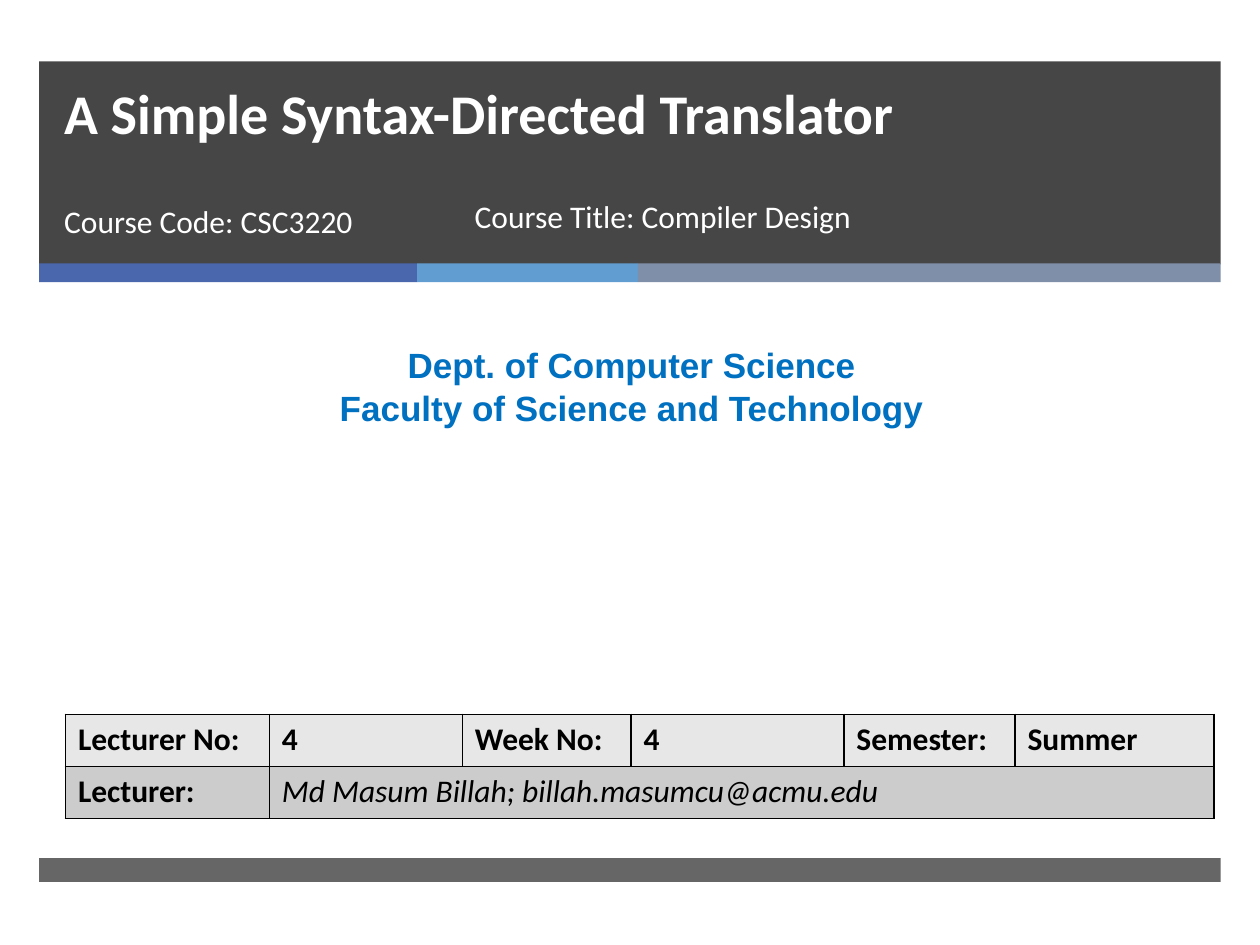
from dataclasses import dataclass

from lxml.etree import SubElement as Sub
from pptx import Presentation
from pptx.dml.color import RGBColor as Rgb
from pptx.enum.shapes import MSO_SHAPE as Form
from pptx.enum.text import MSO_ANCHOR as Anchor, MSO_AUTO_SIZE as Fit, PP_ALIGN as Align
from pptx.oxml.ns import qn
from pptx.util import Cm, Pt


@dataclass(frozen=True)
class Theme:
    dark: str = "262626"
    strip: tuple = ("4A66AC", "629DD1", "7F8FA9")
    rows: tuple = ("E7E7E7", "CCCCCC")
    white: str = "FFFFFF"
    black: str = "000000"
    blue: str = "0070C0"
    main: str = "Calibri"
    alt: str = "Arial"
    head: int = 32
    dept: int = 20
    body: int = 18


class Deck:
    def __init__(self, theme):
        self.theme = theme
        self.file = Presentation()
        self.file.slide_width, self.file.slide_height = Cm(25.4), Cm(19.05)
        self.slide = self.file.slides.add_slide(self.file.slide_layouts[0])

    def bar(self, x, y, w, h, color, alpha=100):
        """Draw a plain bar; alpha is its opacity in percent."""
        bar = self.slide.shapes.add_shape(Form.RECTANGLE, Cm(x), Cm(y), Cm(w), Cm(h))
        bar.shadow.inherit = False
        bar.line.fill.background()
        bar.fill.solid()
        bar.fill.fore_color.rgb = Rgb.from_string(color)
        if alpha < 100:
            tint = bar._element.spPr.find(qn("a:solidFill"))[0]
            Sub(tint, qn("a:alpha"), val=str(alpha * 1000))

    def text(self, frame, lines, size, color, font=None, bold=False,
             italic=False, align=Align.LEFT):
        for i, line in enumerate(lines):
            para = frame.add_paragraph() if i else frame.paragraphs[0]
            para.alignment = align
            run = para.add_run()
            run.text = line
            face = run.font
            face.name, face.size = font or self.theme.main, Pt(size)
            face.bold, face.italic = bold, italic
            face.color.rgb = Rgb.from_string(color)

    def place(self, shape, box, lines, size, color, anchor=Anchor.TOP, **style):
        """Move a text shape to its box and fill it with lines."""
        shape.left, shape.top, shape.width, shape.height = map(Cm, box)
        frame = shape.text_frame
        frame.word_wrap, frame.auto_size = True, Fit.NONE
        frame.vertical_anchor = anchor
        self.text(frame, lines, size, color, **style)
        for para in frame.paragraphs:
            para.space_before = Pt(0)
        return frame

    def title(self, text, box):
        frame = self.place(self.slide.shapes.title, box, [text], self.theme.head,
                           self.theme.white, Anchor.BOTTOM, bold=True)
        frame.paragraphs[0].line_spacing = Pt(46)

    def lead(self, text, box):
        """Fill the subtitle placeholder."""
        self.place(self.slide.placeholders[1], box, [text],
                   self.theme.body, self.theme.white)

    def label(self, lines, box, size, color, **style):
        shape = self.slide.shapes.add_textbox(*map(Cm, box))
        self.place(shape, box, lines, size, color, **style)

    def edge(self, cell):
        """Give a cell thin black borders, which must precede its fill."""
        props = cell._tc.get_or_add_tcPr()
        for i, side in enumerate(("lnL", "lnR", "lnT", "lnB")):
            line = Sub(props, qn(f"a:{side}"), w=str(Pt(1)))
            Sub(Sub(line, qn("a:solidFill")), qn("a:srgbClr"), val=self.theme.black)
            props.insert(i, line)

    def table(self, rows, x, y, cols, high):
        """Draw a table in which a short row's last cell spans the rest."""
        grid = self.slide.shapes.add_table(
            len(rows), len(cols), Cm(x), Cm(y), Cm(sum(cols)), Cm(high * len(rows))).table
        for col, wide in zip(grid.columns, cols):
            col.width = Cm(wide)
        for r, (row, shade) in enumerate(zip(rows, self.theme.rows)):
            grid.rows[r].height = Cm(high)
            last = len(row) - 1
            if len(row) < len(cols):
                grid.cell(r, last).merge(grid.cell(r, len(cols) - 1))
            for c in range(len(cols)):
                cell = grid.cell(r, c)
                cell.fill.solid()
                cell.fill.fore_color.rgb = Rgb.from_string(shade)
                self.edge(cell)
            for c, text in enumerate(row):
                wide = c == last and len(row) < len(cols)
                self.text(grid.cell(r, c).text_frame, [text], self.theme.body,
                          self.theme.black, bold=not wide, italic=wide)


def main():
    theme = Theme()
    deck = Deck(theme)
    left, full = 0.79, 23.82

    deck.bar(left, 1.24, full, 4.09, theme.dark, 85)
    x = left
    for wide, color in zip((7.62, 4.45, 11.75), theme.strip):
        deck.bar(x, 5.31, wide, 0.38, color)
        x += wide
    deck.bar(left, 17.3, full, 0.48, theme.dark, 70)

    # The placeholders come with the slide; bring them in front of the bars.
    tree = deck.slide.shapes._spTree
    for shape in list(deck.slide.placeholders):
        tree.append(shape._element)

    deck.title("A Simple Syntax-Directed Translator", (1.04, 0.05, 21.69, 3.02))
    deck.lead("Course Code: CSC3220", (1.04, 3.94, 7.75, 1.35))
    deck.label(["Course Title: Compiler Design"], (9.32, 3.84, 11.56, 1.35),
               theme.body, theme.white)
    deck.label(["Dept. of Computer Science", "Faculty of Science and Technology"],
               (0.2, 6.81, 25.07, 1.96), theme.dept, theme.blue,
               font=theme.alt, bold=True, align=Align.CENTER)
    deck.table([
        ["Lecturer No:", "4", "Week No:", "4", "Semester:", "Summer"],
        ["Lecturer:", "Md Masum Billah; billah.masumcu@acmu.edu"],
    ], 1.32, 14.4, (4.11, 3.89, 3.4, 4.29, 3.45, 4.01), 1.05)
    deck.file.save("out.pptx")


if __name__ == "__main__":
    main()
